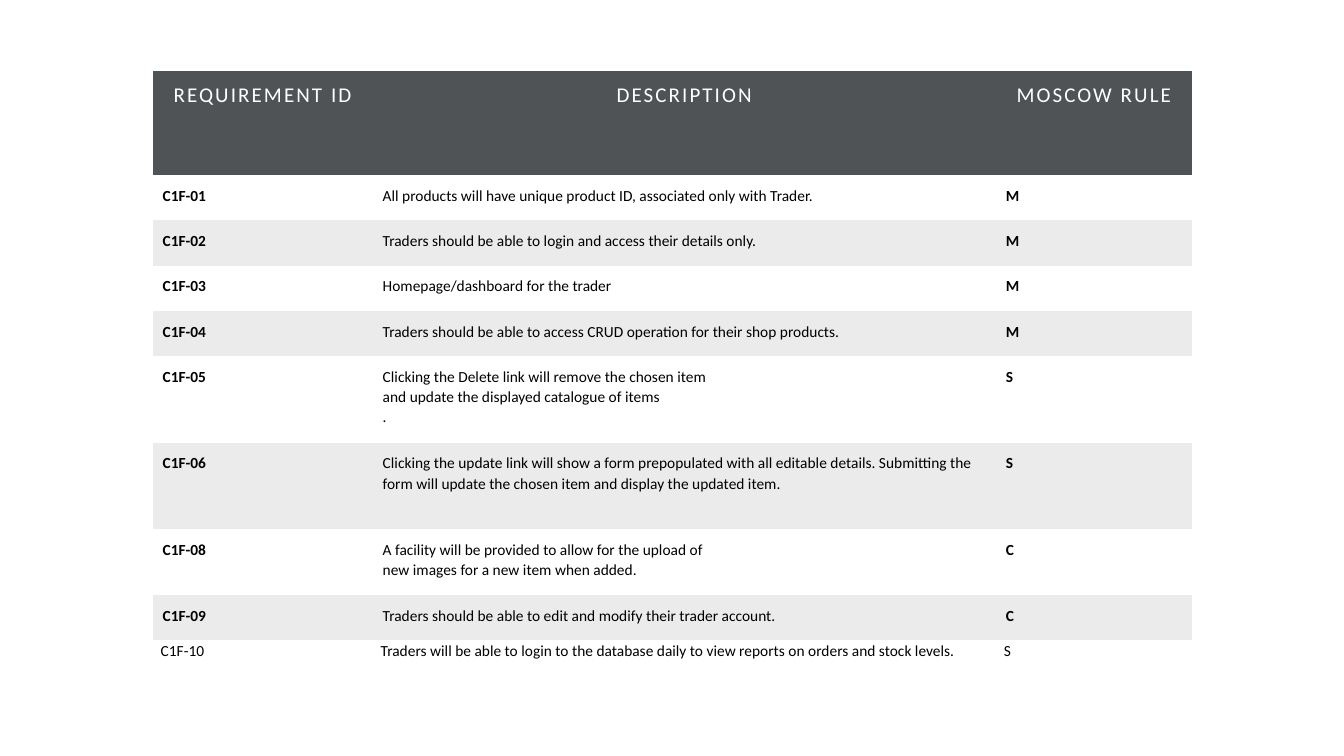
"""Build a slide with a table of trader requirements and their MoSCoW rules."""
from pptx import Presentation
from pptx.dml.color import RGBColor
from pptx.enum.text import PP_ALIGN
from pptx.util import Pt

LEFT, CENTER = PP_ALIGN.LEFT, PP_ALIGN.CENTER
WHITE = RGBColor(0xFF, 0xFF, 0xFF)
BLACK = RGBColor(0x00, 0x00, 0x00)
SLATE = RGBColor(0x50, 0x53, 0x56)
BAND = RGBColor(0xEB, 0xEB, 0xEB)
PLAIN_STYLE = "{2D5ABB26-0587-4C30-8999-92F81FD0307C}"

HEADINGS = ("REQUIREMENT ID", "DESCRIPTION", "MOSCOW RULE")
REQUIREMENTS = [
    ("C1F-01", "All products will have unique product ID, associated only with Trader.", "M"),
    ("C1F-02", "Traders should be able to login and access their details only.", "M"),
    ("C1F-03", "Homepage/dashboard for the trader", "M"),
    ("C1F-04", "Traders should be able to access CRUD operation for their shop products.", "M"),
    ("C1F-05", "Clicking the Delete link will remove the chosen item\n"
               "and update the displayed catalogue of items\n.", "S"),
    ("C1F-06", "Clicking the update link will show a form prepopulated with all editable "
               "details. Submitting the\n"
               "form will update the chosen item and display the updated item.", "S"),
    ("C1F-08", "A facility will be provided to allow for the upload of\n"
               "new images for a new item when added.", "C"),
    ("C1F-09", "Traders should be able to edit and modify their trader account.", "C"),
    ("C1F-10", "Traders will be able to login to the database daily to view reports on "
               "orders and stock levels.", "S"),
]
COLUMN_WIDTHS = (157.2, 445.2, 140)
ROW_HEIGHTS = (74.6, 32.3, 32.3, 32.3, 32.3, 61.8, 61.8, 47.1, 32.3, 31.7)


def write_cell(cell, text, size=11, color=BLACK, bold=False, align=LEFT,
               spacing=0, fill=WHITE, side=7.2, edge=7.2):
    cell.fill.solid()
    cell.fill.fore_color.rgb = fill
    cell.margin_left = cell.margin_right = Pt(side)
    cell.margin_top = cell.margin_bottom = Pt(edge)
    cell.text_frame.text = text
    for para in cell.text_frame.paragraphs:
        para.alignment = align
        para.line_spacing = 1.07
        for span in para.runs:
            span.font.name = "Calibri"
            span.font.size = Pt(size)
            span.font.bold = bold
            span.font.color.rgb = color
            span.font._element.set("spc", str(int(spacing * 100)))


deck = Presentation()
deck.slide_width, deck.slide_height = Pt(960), Pt(540)
page = deck.slides.add_slide(deck.slide_layouts[6])

frame = page.shapes.add_table(len(ROW_HEIGHTS), len(COLUMN_WIDTHS), Pt(109), Pt(50.6),
                              Pt(sum(COLUMN_WIDTHS)), Pt(sum(ROW_HEIGHTS)))
table = frame.table
table.horz_banding = False
table._tbl.tblPr.find("{*}tableStyleId").text = PLAIN_STYLE
for column, width in zip(table.columns, COLUMN_WIDTHS):
    column.width = Pt(width)
for row, height in zip(table.rows, ROW_HEIGHTS):
    row.height = Pt(height)

for column, heading in enumerate(HEADINGS):
    write_cell(table.cell(0, column), heading, size=15, color=WHITE, align=CENTER,
               spacing=1.5, fill=SLATE)

for row, requirement in enumerate(REQUIREMENTS, start=1):
    last = row == len(REQUIREMENTS)
    for column, text in enumerate(requirement):
        write_cell(table.cell(row, column), text,
                   bold=column != 1 and not last,
                   fill=WHITE if row % 2 else BAND,
                   side=5.8 if last else 7.2,
                   edge=0 if last else 7.2)

deck.save("out.pptx")
